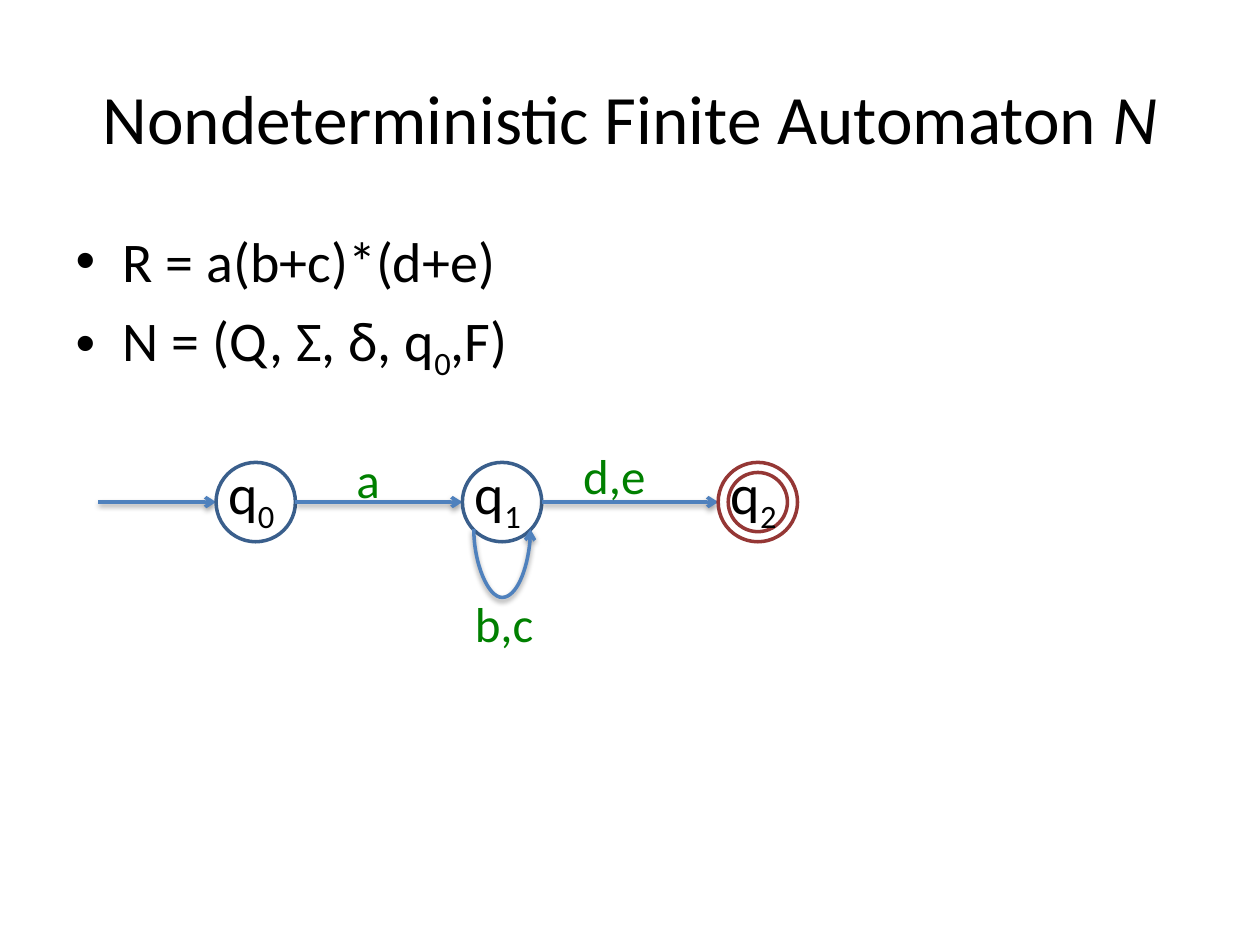
from lxml.etree import SubElement
from pptx import Presentation
from pptx.dml.color import RGBColor
from pptx.enum.shapes import MSO_CONNECTOR as Link, MSO_SHAPE as Shape
from pptx.enum.text import MSO_ANCHOR, MSO_AUTO_SIZE, PP_ALIGN
from pptx.oxml import parse_xml
from pptx.oxml.ns import nsdecls, qn
from pptx.util import Emu, Inches, Pt

COLORS = {"text": "000000", "label": "008000", "arrow": "4F81BD",
          "state": "3A5F8C", "final": "953735"}
FONT = "Calibri"
TITLE = [("Nondeterministic Finite Automaton ", ""), ("N", "italic")]
BULLETS = [
    [("R = a(b+c)*(d+e)", "")],
    [("N = (Q, Σ, δ, q", ""), ("0", "sub"), (",F)", "")],
]
STATES = [("0", 0.203, "state"), ("1", 0.3985, "state"), ("2", 0.6015, "final")]
LABELS = [("a", 0.273, 0.469, 0.39), ("b,c", 0.367, 0.621, 0.67),
          ("d,e", 0.453, 0.465, 0.7)]
STATE_TEXT_SIZE = (0.59, 0.64)
LABEL_HEIGHT = 0.57
WIDTH, HEIGHT = Inches(10), Inches(7.5)
AXIS = Inches(3.985)
RADIUS, INNER_RADIUS = Inches(0.315), Inches(0.235)
START = Inches(0.78)
LOOP_SPAN, LOOP_TOP = Inches(0.45), Inches(4.2)
LOOP_THICKNESS, LOOP_BEND = Emu(1588), 34472700
SHADOW = (
    f'<a:effectLst {nsdecls("a")}><a:outerShdw blurRad="40000" dist="20000" '
    'dir="5400000" rotWithShape="0"><a:srgbClr val="000000">'
    '<a:alpha val="38000"/></a:srgbClr></a:outerShdw></a:effectLst>'
)


def color(name):
    return RGBColor.from_string(COLORS[name])


def write(para, spans, size, ink="text"):
    for words, style in spans:
        span = para.add_run()
        span.text = words
        if style == "italic":
            span.font.italic = True
        elif style == "sub":
            span.font._element.set("baseline", "-25000")
    para.font.name = FONT
    para.font.size = Pt(size)
    para.font.color.rgb = color(ink)


def add_label(page, left, top, extent, spans, size, ink="text"):
    box = page.shapes.add_textbox(left, top, *map(Inches, extent))
    box.text_frame.word_wrap = False
    box.text_frame.auto_size = MSO_AUTO_SIZE.SHAPE_TO_FIT_TEXT
    write(box.text_frame.paragraphs[0], spans, size, ink)


def add_circle(page, center, radius, ink):
    circle = page.shapes.add_shape(
        Shape.OVAL, center - radius, AXIS - radius, 2 * radius, 2 * radius)
    circle.shadow.inherit = False
    circle.fill.background()
    circle.line.color.rgb = color(ink)
    circle.line.width = Pt(2)


def add_arrow(page, kind, *ends):
    arrow = page.shapes.add_connector(kind, *ends)
    arrow.line.color.rgb = color("arrow")
    arrow.line.width = Pt(2)
    SubElement(arrow.line._get_or_add_ln(), qn("a:tailEnd"), type="arrow")
    arrow._element.spPr.append(parse_xml(SHADOW))
    return arrow


def add_loop(page, center):
    left = center - LOOP_THICKNESS // 2
    top = LOOP_TOP - LOOP_SPAN // 2
    loop = add_arrow(page, Link.CURVE, left + LOOP_THICKNESS, top,
                     left, top + LOOP_SPAN)
    properties = loop._element.spPr
    properties.find(qn("a:xfrm")).set("rot", "16200000")
    guides = properties.find(qn("a:prstGeom")).find(qn("a:avLst"))
    SubElement(guides, qn("a:gd"), name="adj1", fmla=f"val {LOOP_BEND}")


def main():
    deck = Presentation()
    deck.slide_width, deck.slide_height = WIDTH, HEIGHT
    page = deck.slides.add_slide(deck.slide_layouts[1])

    title, body = page.placeholders
    title.left, title.top, title.width, title.height = map(Inches, (0.5, 0.3, 9, 1.25))
    title.text_frame.vertical_anchor = MSO_ANCHOR.MIDDLE
    heading = title.text_frame.paragraphs[0]
    heading.alignment = PP_ALIGN.CENTER
    write(heading, TITLE, 39.6)

    body.left, body.top, body.width, body.height = map(Inches, (0.5, 1.75, 9, 4.95))
    for index, spans in enumerate(BULLETS):
        frame = body.text_frame
        para = frame.add_paragraph() if index else frame.paragraphs[0]
        write(para, spans, 32)

    previous = START
    for number, share, ink in STATES:
        center = round(WIDTH * share)
        add_arrow(page, Link.STRAIGHT, previous, AXIS, center - RADIUS, AXIS)
        add_circle(page, center, RADIUS, ink)
        if ink == "final":
            add_circle(page, center, INNER_RADIUS, ink)
        add_label(page, center - RADIUS, Inches(3.59), STATE_TEXT_SIZE,
                  [("q", ""), (number, "sub")], 32)
        previous = center + RADIUS

    add_loop(page, round(WIDTH * STATES[1][1]))
    for words, across, down, width in LABELS:
        add_label(page, round(WIDTH * across), round(HEIGHT * down),
                  (width, LABEL_HEIGHT), [(words, "")], 28, "label")

    deck.save("out.pptx")


if __name__ == "__main__":
    main()
